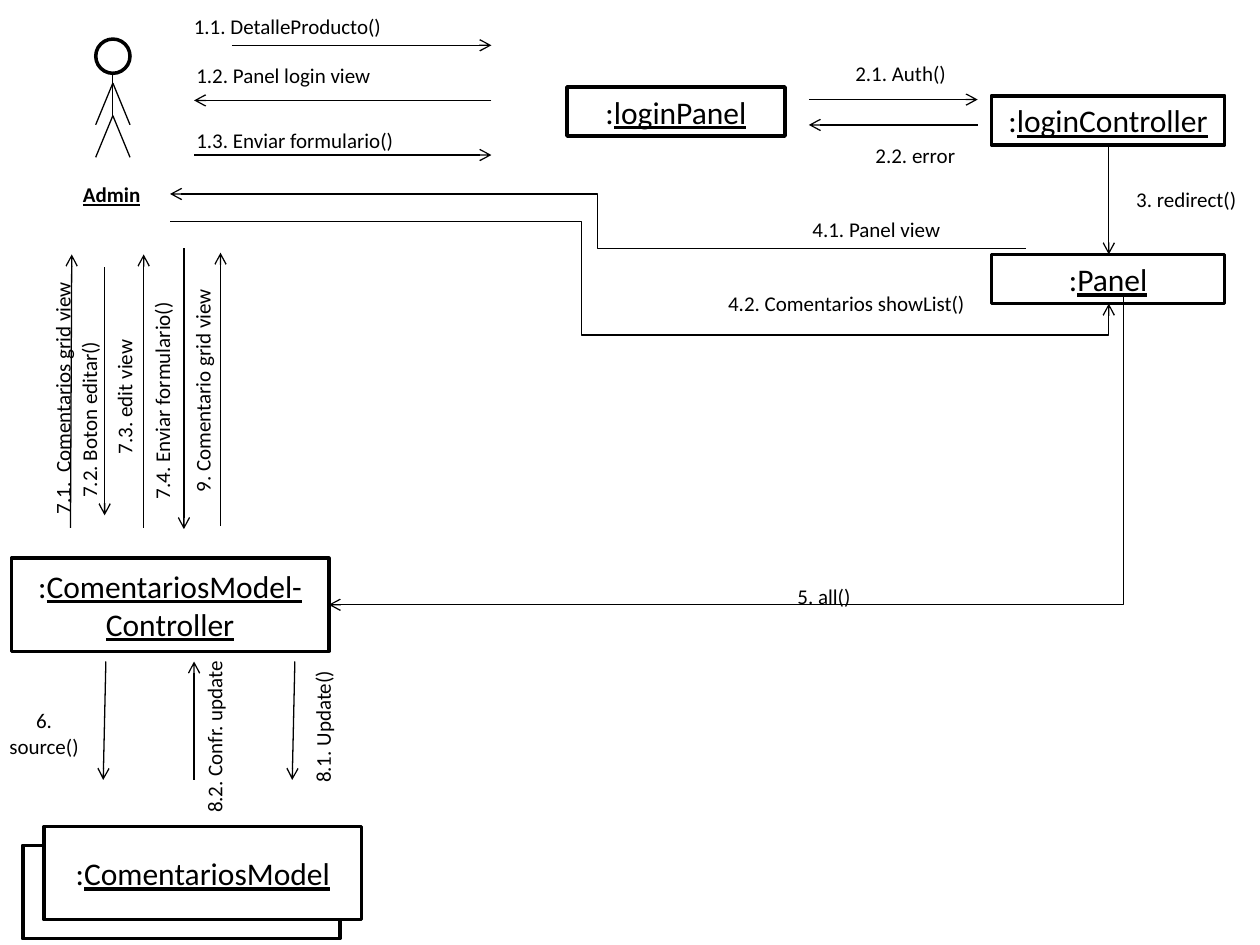
from dataclasses import dataclass

from lxml import etree
from pptx import Presentation
from pptx.dml.color import RGBColor
from pptx.enum.shapes import MSO_CONNECTOR, MSO_SHAPE
from pptx.enum.text import MSO_ANCHOR, MSO_AUTO_SIZE, PP_ALIGN
from pptx.oxml.ns import qn
from pptx.util import Pt

LEFT, CENTER = PP_ALIGN.LEFT, PP_ALIGN.CENTER
TOP, MIDDLE = MSO_ANCHOR.TOP, MSO_ANCHOR.MIDDLE
RECTANGLE, OVAL = MSO_SHAPE.RECTANGLE, MSO_SHAPE.OVAL
STRAIGHT, ELBOW = MSO_CONNECTOR.STRAIGHT, MSO_CONNECTOR.ELBOW
GROW, FIXED = MSO_AUTO_SIZE.SHAPE_TO_FIT_TEXT, MSO_AUTO_SIZE.NONE


@dataclass(frozen=True)
class Theme:
    """Colours, font and sizes of the diagram."""
    ink: RGBColor = RGBColor(0, 0, 0)
    paper: RGBColor = RGBColor(255, 255, 255)
    font: str = "Calibri"
    object_size: float = 18
    message_size: float = 12
    outline: float = 2
    stroke: float = 0.75


def apply(target, values):
    """Set every attribute named in values on the target."""
    for key, value in values.items():
        setattr(target, key, value)


class Diagram:
    """Draws collaboration diagram parts on one slide."""

    def __init__(self, slide, theme):
        """Keep the slide and its style."""
        self.slide, self.theme = slide, theme

    def fill_text(self, frame, runs, size, align, **frame_format):
        """Fill a text frame with (text, font format) runs."""
        apply(frame, frame_format)
        paragraph = frame.paragraphs[0]
        paragraph.alignment = align
        for words, font_format in runs:
            run = paragraph.add_run()
            run.text = words
            apply(run.font, {"name": self.theme.font, "size": Pt(size), **font_format})
            run.font.color.rgb = self.theme.ink

    def outline(self, kind, left, top, width, height, parent=None):
        """Add a white shape with a heavy black outline."""
        shapes = (parent or self.slide).shapes
        shape = shapes.add_shape(kind, Pt(left), Pt(top), Pt(width), Pt(height))
        shape.shadow.inherit = False
        shape.fill.solid()
        shape.fill.fore_color.rgb = self.theme.paper
        shape.line.color.rgb = self.theme.ink
        shape.line.width = Pt(self.theme.outline)
        return shape

    def instance(self, name, left, top, width, height):
        """Add an object box with its underlined name."""
        box = self.outline(RECTANGLE, left, top, width, height)
        runs = [(":", {}), (name, {"underline": True})]
        self.fill_text(box.text_frame, runs, self.theme.object_size, CENTER,
                       word_wrap=True, vertical_anchor=MIDDLE)

    def label(self, words, left, top, width, height=21.6, align=LEFT,
              rotation=0, wrap=False, **font_format):
        """Add a message label, turned if asked."""
        box = self.slide.shapes.add_textbox(Pt(left), Pt(top), Pt(width), Pt(height))
        box.rotation = rotation
        self.fill_text(box.text_frame, [(words, font_format)], self.theme.message_size,
                       align, word_wrap=wrap, vertical_anchor=TOP,
                       auto_size=GROW if wrap else FIXED)

    def stroke(self, start, end, kind=STRAIGHT, parent=None):
        """Add a thin black line between two points."""
        shapes = (parent or self.slide).shapes
        line = shapes.add_connector(kind, *map(Pt, (*start, *end)))
        line.line.color.rgb = self.theme.ink
        line.line.width = Pt(self.theme.stroke)
        etree.SubElement(line._element.spPr, qn("a:effectLst"))
        return line

    def arrow(self, start, end, bends=()):
        """Add an arrow; bends are elbow positions as fractions of its extent."""
        line = self.stroke(start, end, ELBOW if bends else STRAIGHT)
        properties = line._element.spPr
        etree.SubElement(properties.find(qn("a:ln")), qn("a:tailEnd"), type="arrow")
        if bends:
            geometry = properties.find(qn("a:prstGeom"))
            geometry.set("prst", f"bentConnector{len(bends) + 2}")
            guides = geometry.find(qn("a:avLst"))
            for number, bend in enumerate(bends, 1):
                etree.SubElement(guides, qn("a:gd"), name=f"adj{number}",
                                 fmla=f"val {round(bend * 100000)}")

    def actor(self, name, center, top):
        """Add a stick figure with its name below."""
        figure = self.slide.shapes.add_group_shape()
        self.outline(OVAL, center - 9.8, top, 19.6, 19.6, figure)
        neck, hip = top + 25.2, top + 43.8
        self.stroke((center, top + 19.6), (center, hip), parent=figure)
        for joint in (neck, hip):
            for side in (-9.8, 9.8):
                self.stroke((center, joint), (center + side, joint + 23.8), parent=figure)
        self.label(name, center - 24.2, top + 77.8, 56.9, wrap=True,
                   bold=True, underline=True)


OBJECTS = [
    ("loginPanel", 324, 49.7, 124.6, 28.1),
    ("loginController", 566.6, 54.7, 133.2, 28.1),
    ("Panel", 566.6, 145.4, 133.2, 28.1),
    ("ComentariosModel-Controller", 6.5, 319, 181.4, 53.3),
]
MODEL_SIZE = (181.4, 53.3)
ARROWS = [
    ((132.5, 25.9), (280.8, 25.9)),
    ((280.8, 57.4), (110.9, 57.4)),
    ((110.9, 88.6), (280.8, 88.6)),
    ((462.2, 56.9), (558.7, 56.9)),
    ((558.7, 71.4), (462.2, 71.4)),
    ((633.6, 82.8), (633.6, 145.4)),
    ((586.1, 141.9), (97.2, 110.9), (0.5,)),
    ((97.2, 126.7), (633.6, 173.5), (0.438, 1.382)),
    ((643.7, 167.8), (187.9, 345.6), (0.004,)),
    ((40.3, 301.7), (41, 145.4)),
    ((59.8, 152.6), (59.8, 294.5)),
    ((82.1, 301.7), (82.1, 145.4)),
    ((105.1, 141.8), (105.1, 302.4)),
    ((126, 300.6), (126, 144.4)),
    ((60.5, 378), (59, 445.7)),
    ((110.9, 445.7), (110.9, 378)),
    ((168.5, 378), (167, 445.7)),
]
MESSAGES = [
    ("1.1. DetalleProducto()", 103.7, 4.3, 122.4),
    ("1.2. Panel login view", 105.1, 32, 115.2),
    ("1.3. Enviar formulario()", 105.1, 69.1, 128.2),
    ("2.1. Auth()", 481.7, 31.2, 67),
    ("2.2. error", 493.2, 78, 60.5),
    ("3. redirect()", 642.2, 103, 72),
    ("4.1. Panel view", 457.2, 120.2, 88.6),
    ("4.2. Comentarios showList()", 409, 162.7, 151.2),
    ("5. all()", 448.6, 330, 45.4),
]
UPWARD_MESSAGES = [
    ("7.1.  Comentarios grid view", -70.6, 216.7, 212.4),
    ("7.2. Boton editar()", -55.4, 229, 212.4),
    ("7.3. edit view", -35.3, 216, 212.4),
    ("7.4. Enviar formulario()", -13.7, 218.2, 212.4),
    ("9. Comentario grid view", 9.4, 212.4, 212.4),
    ("8.1. Update()", 108.7, 404.6, 151.2),
    ("8.2. Confr. update", 69.8, 410.4, 105.1),
]


def main():
    """Build and save the slide."""
    deck = Presentation()
    deck.slide_width, deck.slide_height = Pt(720), Pt(540)
    diagram = Diagram(deck.slides.add_slide(deck.slide_layouts[6]), Theme())
    diagram.actor("Admin", 64.5, 22.3)
    for instance in OBJECTS:
        diagram.instance(*instance)
    diagram.outline(RECTANGLE, 13, 483.1, *MODEL_SIZE)
    diagram.instance("ComentariosModel", 25.2, 472.3, *MODEL_SIZE)
    for arrow in ARROWS:
        diagram.arrow(*arrow)
    for message in MESSAGES:
        diagram.label(*message)
    diagram.label("6. source()", -3.6, 401, 57.6, 36, CENTER, wrap=True)
    for message in UPWARD_MESSAGES:
        diagram.label(*message, align=CENTER, rotation=270, wrap=True)
    deck.save("out.pptx")


main()
